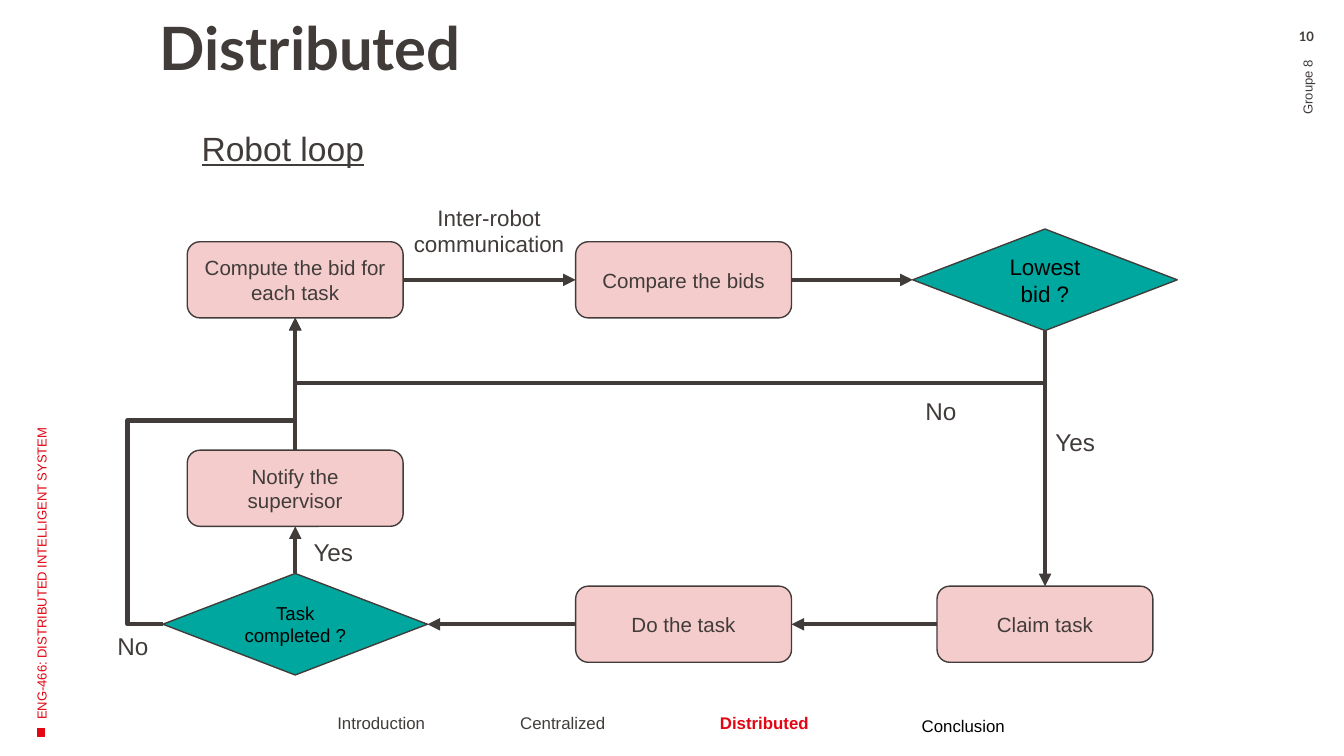
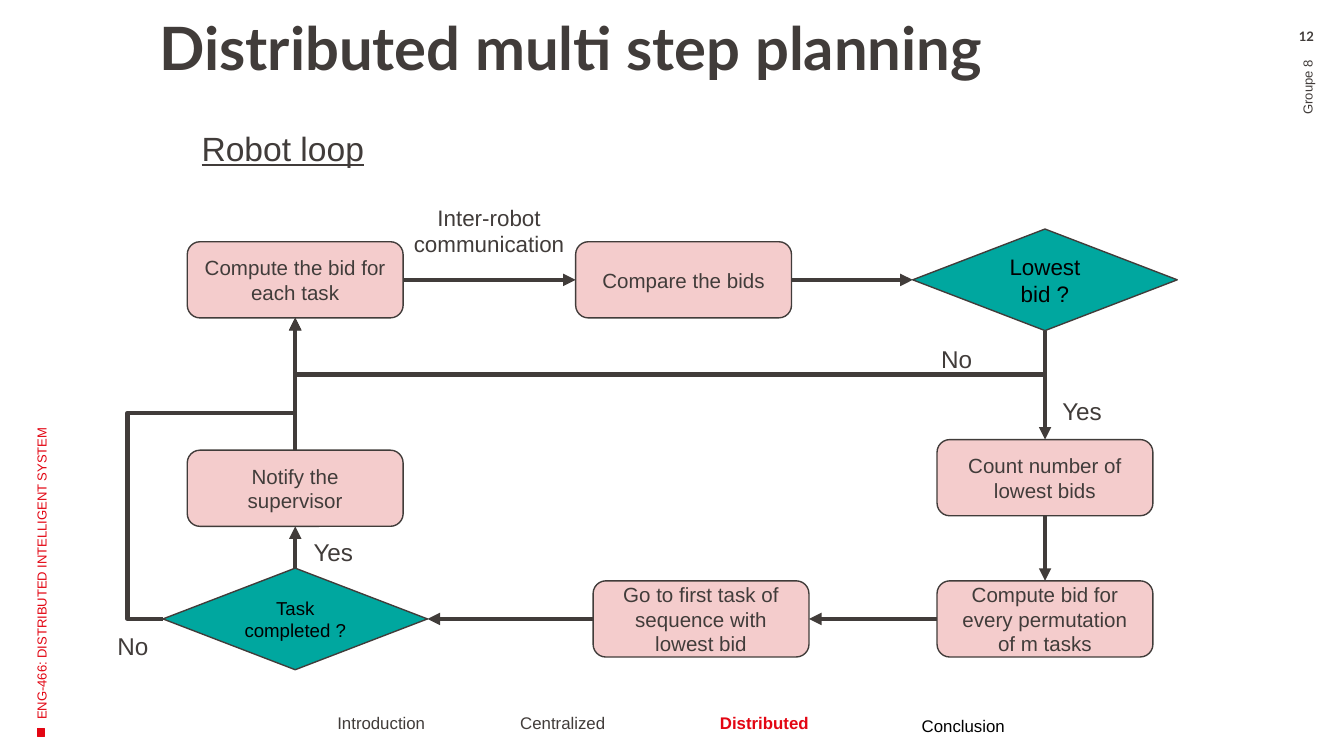
from pptx import Presentation
from pptx.dml.color import RGBColor
from pptx.enum.shapes import MSO_CONNECTOR, MSO_SHAPE
from pptx.enum.text import MSO_ANCHOR, PP_ALIGN
from pptx.oxml.ns import qn
from pptx.util import Cm, Pt
from lxml import etree

RECT, ROUND, RHOMB = MSO_SHAPE.RECTANGLE, MSO_SHAPE.ROUNDED_RECTANGLE, MSO_SHAPE.DIAMOND
LINE, ELBOW = MSO_CONNECTOR.STRAIGHT, MSO_CONNECTOR.ELBOW
TOP, MID = MSO_ANCHOR.TOP, MSO_ANCHOR.MIDDLE
LEFT, CENTER, RIGHT = PP_ALIGN.LEFT, PP_ALIGN.CENTER, PP_ALIGN.RIGHT

COLORS = {"ink": "413C3A", "red": "E30613", "pink": "F4CCCC", "teal": "00A79F", "black": "000000"}
PAD = (0.25, 0.25, 0.25, 0.25)
SLIM = (0.25, 0.13, 0.25, 0.13)

# Connection sites of boxes and diamonds
N, W, S, E = range(4)

# Centres of the chart's columns and rows, in cm
COL_L, COL_M, COL_R = 5.58, 12.92, 19.75
ROW_1, ROW_N = 5.29, 9.23


def color(name):
    return RGBColor.from_string(COLORS[name])


class Deck:
    def __init__(self):
        self.prs = Presentation()
        self.prs.slide_width, self.prs.slide_height = Cm(25.4), Cm(14.29)
        self.slide = None

    def put(self, shape, text, size, ink="ink", font="Arial", bold=False, under=False,
            align=CENTER, anchor=TOP, pad=PAD, space=None):
        """Set the text of a shape and its style."""
        frame = shape.text_frame
        frame.text = text
        frame.word_wrap = True
        frame.vertical_anchor = anchor
        (frame.margin_left, frame.margin_top,
         frame.margin_right, frame.margin_bottom) = map(Cm, pad)
        para = frame.paragraphs[0]
        para.alignment = align
        if space:
            para.line_spacing = space
        face = para.runs[0].font
        face.name, face.size, face.bold, face.underline = font, Pt(size), bold, under
        face.color.rgb = color(ink)

    def text(self, text, at, size, turn=0, **style):
        box = self.slide.shapes.add_textbox(*map(Cm, at))
        box.rotation = turn
        self.put(box, text, size, **style)

    def shape(self, kind, at, fill, edge="ink"):
        shape = self.slide.shapes.add_shape(kind, *map(Cm, at))
        shape.shadow.inherit = False
        shape.fill.solid()
        shape.fill.fore_color.rgb = color(fill)
        shape.line.color.rgb = color(edge)
        shape.line.width = Pt(0.75)
        return shape

    def step(self, text, x, y):
        """Add a rounded box centred on x, y."""
        box = self.shape(ROUND, (x - 2.04, y - 0.72, 4.08, 1.44), "pink")
        self.put(box, text, 11, anchor=MID)
        return box

    def choice(self, text, x, y, size):
        """Add a diamond centred on x, y."""
        node = self.shape(RHOMB, (x - 2.5, y - 0.96, 5, 1.92), "teal")
        self.put(node, text, size, ink="black", anchor=MID)
        return node

    def arrow(self, start, out, end, into, kind=LINE):
        line = self.slide.shapes.add_connector(kind, 0, 0, 0, 0)
        line.begin_connect(start, out)
        line.end_connect(end, into)
        line.line.color.rgb = color("ink")
        line.line.width = Pt(2.25)
        props = line._element.spPr
        etree.SubElement(props.find(qn("a:ln")), qn("a:tailEnd"), type="triangle")
        etree.SubElement(props, qn("a:effectLst"))
        return line

    def bend(self, line, preset, *parts):
        """Set an elbow's preset and its bends, as parts of its size."""
        geom = line._element.spPr.find(qn("a:prstGeom"))
        geom.set("prst", preset)
        guides = geom.get_or_add_avLst()
        for i, part in enumerate(parts, 1):
            etree.SubElement(guides, qn("a:gd"), name=f"adj{i}", fmla=f"val {round(part * 100000)}")

    def under(self, start, end, y):
        """Lead from one foot down to y, across, and up to another foot."""
        line = self.arrow(start, S, end, S, ELBOW)
        x1, y1, x2, y2 = line.begin_x, line.begin_y, line.end_x, line.end_y
        wide, high = y1 - y2, x1 - x2
        self.bend(line, "bentConnector3", (y1 - Cm(y)) / wide)
        line.left, line.top = (x1 + x2 - wide) // 2, (y1 + y2 - high) // 2
        line.width, line.height = wide, high
        frame = line._element.spPr.find(qn("a:xfrm"))
        frame.attrib.pop("flipV", None)
        frame.set("rot", "5400000")
        frame.set("flipH", "1")

    def around(self, start, end, x, y):
        """Lead left to x, up to y, then right and up to a foot."""
        line = self.arrow(start, W, end, S, ELBOW)
        x1, y1, x2, y2 = line.begin_x, line.begin_y, line.end_x, line.end_y
        self.bend(line, "bentConnector4", (Cm(x) - x1) / (x2 - x1), (y1 - Cm(y)) / (y1 - y2))

    def label(self, text, x, y):
        self.text(text, (x, y, 1.42, 1.07), 13)

    def page(self, title, number):
        self.slide = self.prs.slides.add_slide(self.prs.slide_layouts[6])
        self.text(number, (23.98, 0.53, 1.42, 0.46), 7, font="Lato", bold=True,
                  pad=(0.25, 0, 0.25, 0))
        self.text(title, (2.51, 0.36, 21.46, 2.97), 32, font="Lato", bold=True,
                  align=LEFT, pad=(0.5, 0, 0.2, 0.13), space=0.9)
        self.shape(RECT, (0.71, 13.77, 0.13, 0.15), "red", "red")
        self.text("ENG-466: DISTRIBUTED INTELLIGENT SYSTEM", (-3.56, 9.04, 8.69, 0.94), 7,
                  turn=270, ink="red", align=LEFT, anchor=MID, pad=SLIM)
        self.text("Groupe 8", (23.72, 1.45, 1.98, 0.86), 7,
                  turn=270, align=RIGHT, anchor=MID, pad=SLIM)
        for name, x, ink in (("Introduction", 4.98, "ink"), ("Centralized", 8.41, "ink"),
                             ("Distributed", 12.22, "red"), ("Conclusion", 15.98, "black")):
            drop = 0.06 if name == "Conclusion" else 0
            self.text(name, (x, 13.28 + drop, 4.45, 0.89), 9, ink=ink, bold=ink == "red")

    def flow(self, steps, mid, low, cross, back):
        """Draw the loop; steps run down the right column and end in the middle."""
        self.text("Robot loop", (3.12, 2.16, 4.45, 1.27), 18, under=True)
        bid = self.step("Compute the bid for each task", COL_L, ROW_1)
        compare = self.step("Compare the bids", COL_M, ROW_1)
        lowest = self.choice("Lowest bid ?", COL_R, ROW_1, 12)
        notify = self.step("Notify the supervisor", COL_L, ROW_N)
        done = self.choice("Task completed ?", COL_L, low, 10)
        self.arrow(bid, E, compare, W)
        self.arrow(compare, E, lowest, W)

        *down, act = steps
        last = lowest
        for text, y in down:
            node = self.step(text, COL_R, y)
            self.arrow(last, S, node, N)
            last = node
        task = self.step(act, mid, low)
        self.arrow(last, W, task, E)
        self.arrow(task, W, done, E)
        self.arrow(done, N, notify, S)
        self.arrow(notify, N, bid, S)
        self.under(lowest, bid, cross)
        self.around(done, bid, 2.41, back)

        self.label("No", 1.8, 11.68)
        self.label("Yes", 5.59, 9.9)
        self.text("Inter-robot communication", (6.83, 3.6, 4.83, 1.55), 12)


def main():
    deck = Deck()
    deck.page("Distributed", "10")
    deck.flow([("Claim task", 11.8), "Do the task"], COL_M, 11.8, 7.24, 7.95)
    deck.label("No", 17.07, 7.24)
    deck.label("Yes", 19.61, 7.82)

    deck.page("Distributed multi step planning", "12")
    deck.flow([("Count number of lowest bids", 9.03),
               ("Compute bid for every permutation of m tasks", 11.7),
               "Go to first task of sequence with lowest bid"], 13.25, 11.7, 7.08, 7.8)
    deck.label("No", 17.37, 6.25)
    deck.label("Yes", 19.74, 7.24)
    deck.prs.save("out.pptx")


if __name__ == "__main__":
    main()
